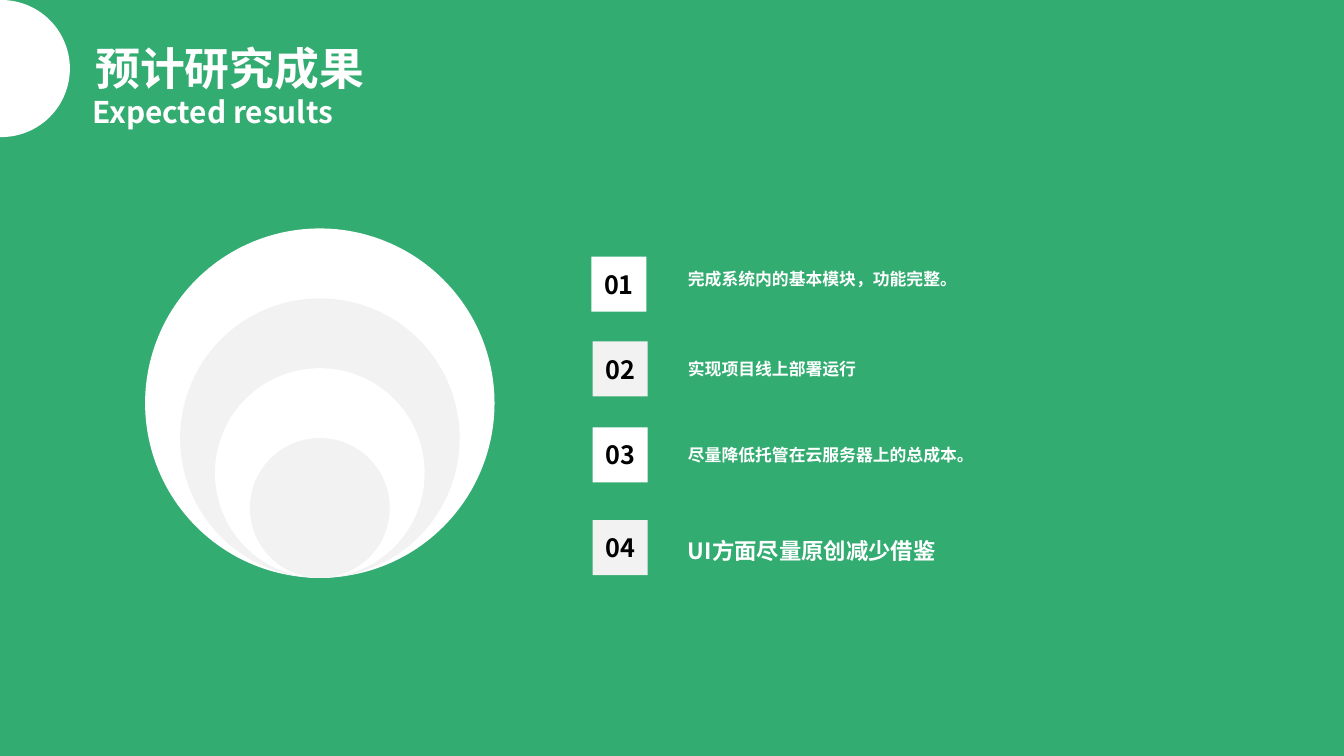
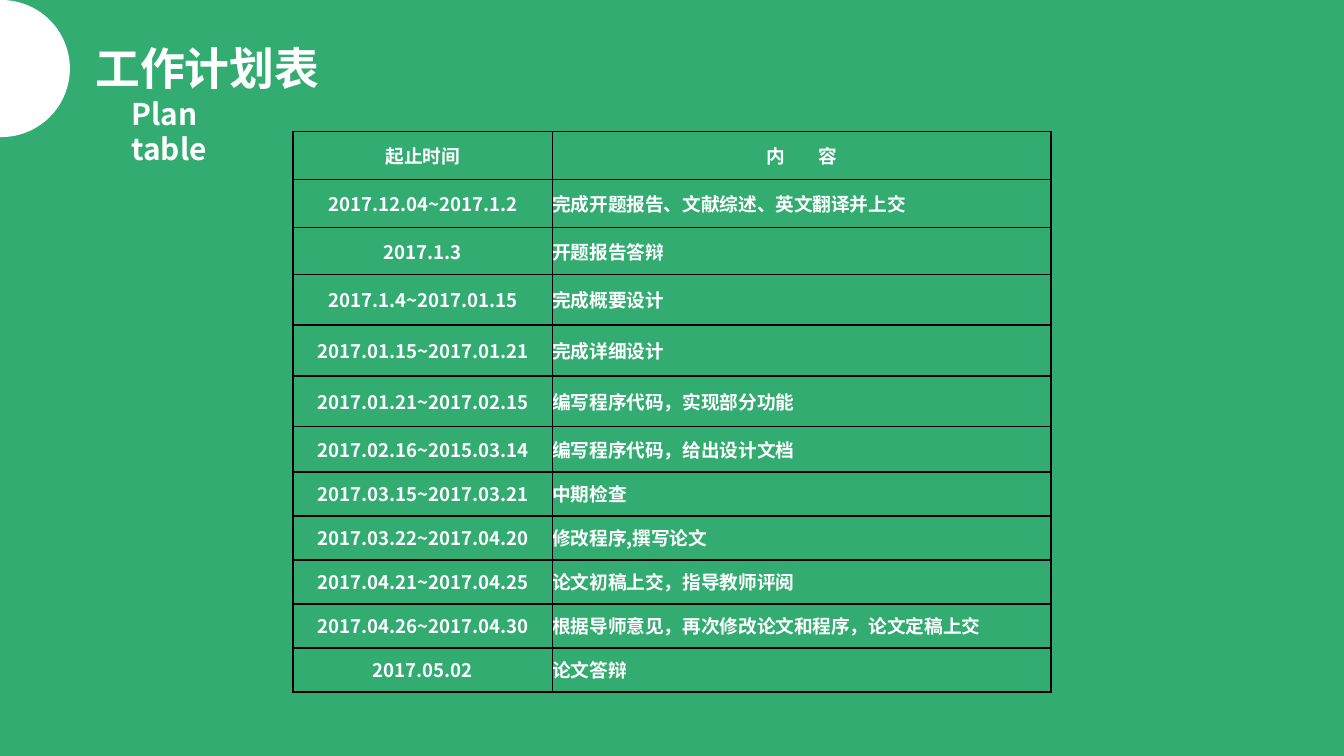
import math
from dataclasses import dataclass

from pptx import Presentation
from pptx.dml.color import RGBColor
from pptx.enum import shapes, text
from pptx.oxml import ns, xmlchemy
from pptx.util import Inches, Pt


@dataclass(frozen=True)
class Theme:
    font: str = "Noto Sans CJK SC"
    green: str = "32AC71"
    white: str = "FFFFFF"
    grey: str = "F2F2F2"
    black: str = "000000"
    rule: str = "080000"
    title: float = 24
    subtitle: float = 16
    number: float = 13.5
    item_large: float = 12
    table: float = 10
    item: float = 9


T = Theme()

# Item text, type size, text top and height, tile left and top
RESULTS = [
    ("完成系统内的基本模块，功能完整。", T.item, 1.95, 0.4, 4.4, 1.91),
    ("实现项目线上部署运行", T.item, 2.62, 0.25, 4.41, 2.54),
    ("尽量降低托管在云服务器上的总成本。", T.item, 3.26, 0.25, 4.41, 3.18),
    ("UI方面尽量原创减少借鉴", T.item_large, 3.95, 0.3, 4.41, 3.87),
]

# Relative row height, period, task
PLAN = [
    (0.36, "起止时间", "内 容"),
    (0.36, "2017.12.04~2017.1.2", "完成开题报告、文献综述、英文翻译并上交"),
    (0.35, "2017.1.3", "开题报告答辩"),
    (0.38, "2017.1.4~2017.01.15", "完成概要设计"),
    (0.38, "2017.01.15~2017.01.21", "完成详细设计"),
    (0.38, "2017.01.21~2017.02.15", "编写程序代码，实现部分功能"),
    (0.34, "2017.02.16~2015.03.14", "编写程序代码，给出设计文档"),
    (0.33, "2017.03.15~2017.03.21", "中期检查"),
    (0.33, "2017.03.22~2017.04.20", "修改程序,撰写论文"),
    (0.33, "2017.04.21~2017.04.25", "论文初稿上交，指导教师评阅"),
    (0.33, "2017.04.26~2017.04.30", "根据导师意见，再次修改论文和程序，论文定稿上交"),
    (0.33, "2017.05.02", "论文答辩"),
]


def inches(box):
    return [Inches(v) for v in box]


def style(p, size, color=T.white, align=text.PP_ALIGN.LEFT):
    """Format a whole paragraph, East Asian typeface included."""
    p.alignment = align
    p.font.size = Pt(size)
    p.font.bold = True
    p.font.color.rgb = RGBColor.from_string(color)
    p.font.name = T.font
    props = p._p.pPr.find(ns.qn("a:defRPr"))
    ea = xmlchemy.OxmlElement("a:ea")
    ea.set("typeface", T.font)
    props.append(ea)


def write(sp, words, size, wrap=True):
    tf = sp.text_frame
    tf.text = words
    tf.word_wrap = wrap
    tf.auto_size = text.MSO_AUTO_SIZE.SHAPE_TO_FIT_TEXT
    tf.vertical_anchor = text.MSO_ANCHOR.TOP
    style(tf.paragraphs[0], size)


def paint(sp, color):
    sp.shadow.inherit = False
    sp.fill.solid()
    sp.fill.fore_color.rgb = RGBColor.from_string(color)
    sp.line.fill.background()


def add_shape(slide, kind, box, color):
    sp = slide.shapes.add_shape(kind, *inches(box))
    paint(sp, color)
    return sp


def add_corner(slide, radius=0.51, offset=0.01, steps=60):
    """Half disc on the left edge, at the top of the slide."""
    points = []
    for i in range(steps + 1):
        a = math.pi * (i / steps - 0.5)
        points.append(inches((offset + radius * math.cos(a),
                              radius + radius * math.sin(a))))
    points.append(inches((0, 2 * radius)))
    fb = slide.shapes.build_freeform(0, 0)
    fb.add_line_segments(points, close=True)
    paint(fb.convert_to_shape(), T.white)


def add_heading(prs, title, title_width, subtitle, subtitle_box, wrap=False):
    """New slide with the shared title, subtitle and corner disc."""
    slide = prs.slides.add_slide(prs.slide_layouts[5])
    sp = slide.shapes.title
    sp.left, sp.top, sp.width, sp.height = inches((0.61, 0.25, title_width, 0.5))
    write(sp, title, T.title, wrap=False)
    write(slide.shapes.add_textbox(*inches(subtitle_box)), subtitle, T.subtitle, wrap)
    add_corner(slide)
    return slide


def add_rings(slide, box, count=4):
    """Nested discs that touch at the bottom of the box."""
    left, top, size = box
    for i in range(count):
        d = size * (1 - i / (count + 1))
        add_shape(slide, shapes.MSO_SHAPE.OVAL,
                  (left + (size - d) / 2, top + size - d, d, d),
                  T.grey if i % 2 else T.white)


def add_results(slide, text_left=5.02, text_width=3.73, tile=0.41):
    """Numbered tiles with a line of text beside each."""
    for i, (words, size, top, height, tile_left, tile_top) in enumerate(RESULTS):
        sp = add_shape(slide, shapes.MSO_SHAPE.RECTANGLE,
                       (tile_left, tile_top, tile, tile),
                       T.grey if i % 2 else T.white)
        tf = sp.text_frame
        tf.text = f"{i + 1:02}"
        tf.word_wrap = False
        tf.vertical_anchor = text.MSO_ANCHOR.MIDDLE
        style(tf.paragraphs[0], T.number, T.black, text.PP_ALIGN.CENTER)
        box = slide.shapes.add_textbox(*inches((text_left, top, text_width, height)))
        write(box, words, size)


def set_borders(cell, color, width):
    props = cell._tc.get_or_add_tcPr()
    for i, side in enumerate(("a:lnL", "a:lnR", "a:lnT", "a:lnB")):
        ln = xmlchemy.OxmlElement(side)
        ln.set("w", str(Pt(width)))
        fill = xmlchemy.OxmlElement("a:solidFill")
        clr = xmlchemy.OxmlElement("a:srgbClr")
        clr.set("val", color)
        fill.append(clr)
        ln.append(fill)
        props.insert(i, ln)


def spread(p, gap=8):
    """Widen the space between two words of a heading."""
    first, last = p.text.split()
    p.clear()
    r = p.add_run()
    r.text = first + " "
    r._r.get_or_add_rPr().set("spc", str(gap * 100))
    p.add_run().text = last


def add_plan(slide, left, top, widths, height):
    """Bordered table of periods and tasks."""
    frame = slide.shapes.add_table(len(PLAN), len(widths),
                                   *inches((left, top, sum(widths), height)))
    table = frame.table
    table.first_row = table.horz_banding = False
    for col, width in zip(table.columns, widths):
        col.width = Inches(width)
    total = sum(row[0] for row in PLAN)
    for i, (share, *words) in enumerate(PLAN):
        table.rows[i].height = Inches(height * share / total)
        for j, word in enumerate(words):
            cell = table.cell(i, j)
            cell.text = word
            cell.fill.background()
            cell.vertical_anchor = text.MSO_ANCHOR.MIDDLE
            cell.margin_left = cell.margin_right = 0
            cell.margin_top = cell.margin_bottom = 0
            centred = i == 0 or j == 0
            style(cell.text_frame.paragraphs[0], T.table,
                  align=text.PP_ALIGN.CENTER if centred else text.PP_ALIGN.LEFT)
            set_borders(cell, T.rule, 1)
    spread(table.cell(0, 1).text_frame.paragraphs[0])


def results_slide(prs):
    slide = add_heading(prs, "预计研究成果", 2.21,
                        "Expected results", (0.59, 0.65, 2.02, 0.37))
    add_rings(slide, (1.08, 1.7, 2.6))
    add_results(slide)


def plan_slide(prs):
    slide = add_heading(prs, "工作计划表", 1.87,
                        "Plan table", (0.88, 0.66, 1.27, 0.37), wrap=True)
    add_plan(slide, 2.18, 0.98, (1.93, 3.71), 4.17)


def main():
    prs = Presentation()
    # 16:9 page
    prs.slide_width, prs.slide_height = Inches(10), Inches(10 * 9 / 16)
    fill = prs.slide_master.background.fill
    fill.solid()
    fill.fore_color.rgb = RGBColor.from_string(T.green)
    results_slide(prs)
    plan_slide(prs)
    prs.save("out.pptx")


if __name__ == "__main__":
    main()
